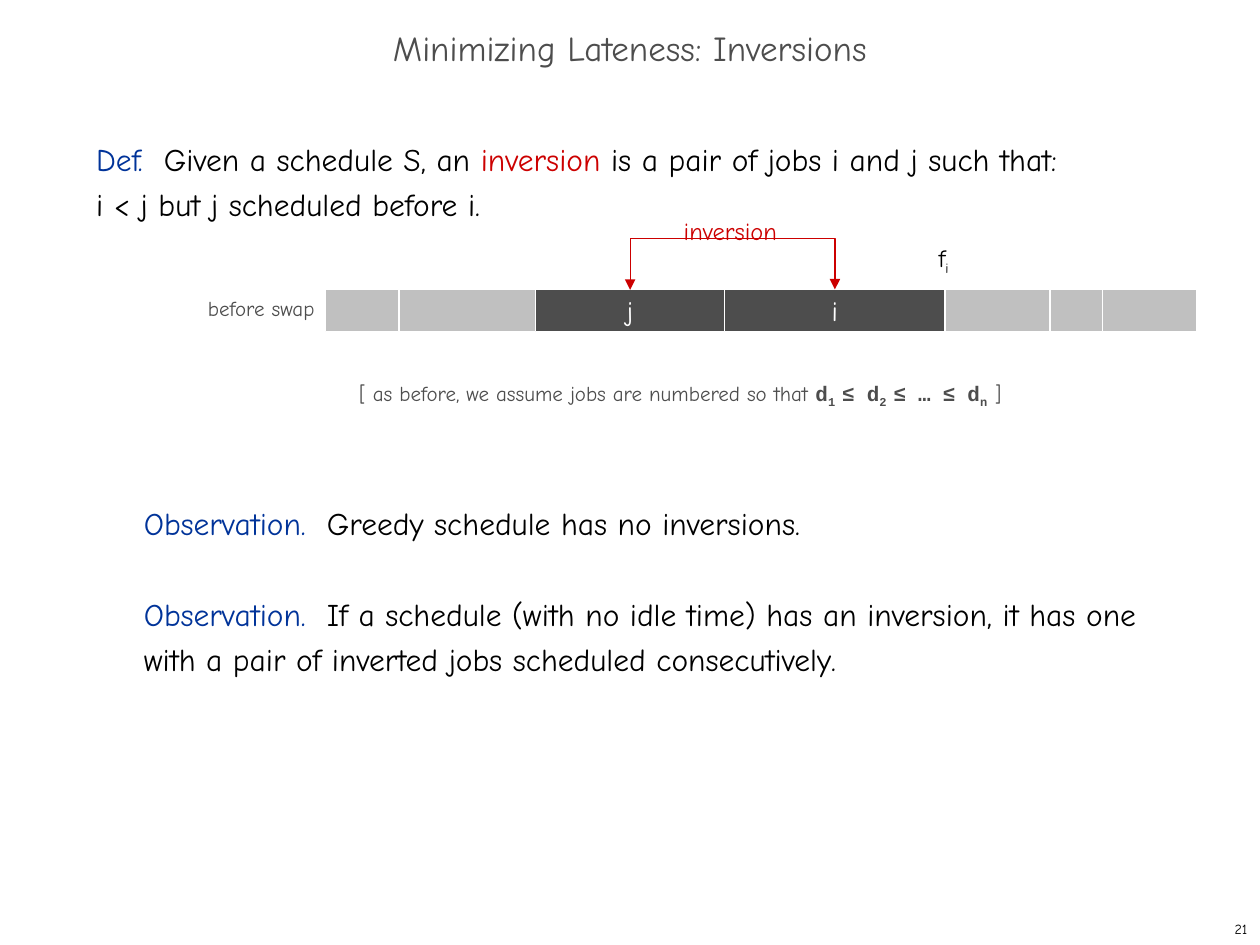
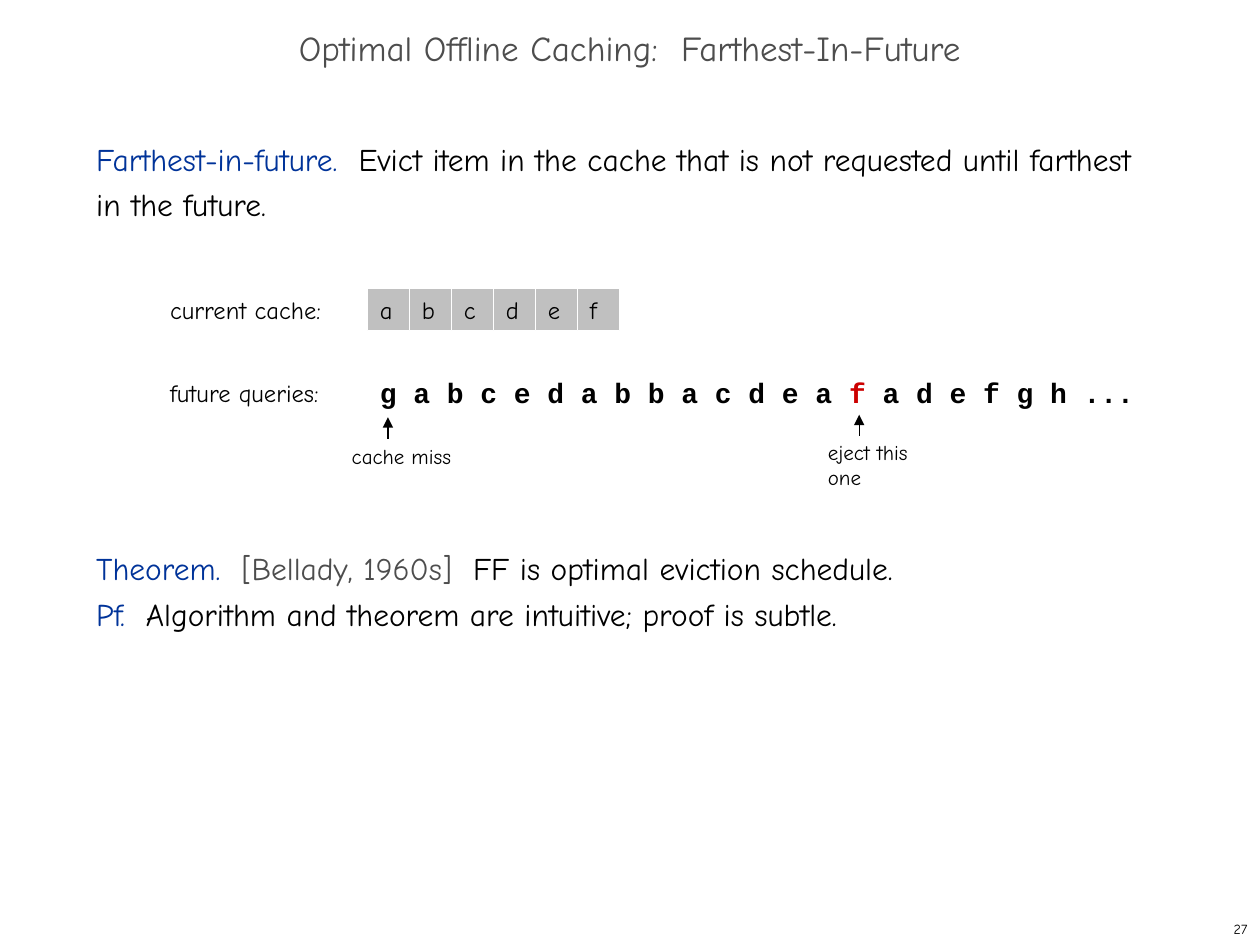
"""Build two lecture slides: schedule inversions and farthest-in-future caching."""
import pptx
import pptx.dml.color
import pptx.enum.shapes
import pptx.enum.text
import pptx.util
from lxml import etree
from pptx.oxml.ns import qn

Cm = pptx.util.Cm
Pt = pptx.util.Pt
paint = pptx.dml.color.RGBColor.from_string
ALIGN = pptx.enum.text.PP_ALIGN
ANCHOR = pptx.enum.text.MSO_ANCHOR
LINK = pptx.enum.shapes.MSO_CONNECTOR
RECT = pptx.enum.shapes.MSO_SHAPE.RECTANGLE

INK, GRAY, PALE, WHITE = "000000", "4D4D4D", "C0C0C0", "FFFFFF"
BLUE, RED = "003399", "CC0000"
FONT, CODE = "Comic Neue", "Courier New"


def label(slide, place, lines, size, align=ALIGN.LEFT, wrap=False, mid=False,
          rect=False, fill=None, inset=True, grow=False, pitch=None, gap=0):
    """Add a text box or rectangle; a span is text, colour, font, bold, base."""
    spot = [Cm(n) for n in place]
    if rect:
        box = slide.shapes.add_shape(RECT, *spot)
        box.shadow.inherit = False
        box.line.color.rgb = paint(WHITE)
        box.line.width = Pt(0.75)
        if fill:
            box.fill.solid()
            box.fill.fore_color.rgb = paint(fill)
        else:
            box.fill.background()
    else:
        box = slide.shapes.add_textbox(*spot)
    frame = box.text_frame
    frame.word_wrap = wrap
    frame.vertical_anchor = ANCHOR.MIDDLE if mid else ANCHOR.TOP
    if grow:
        frame.auto_size = pptx.enum.text.MSO_AUTO_SIZE.SHAPE_TO_FIT_TEXT
    if not inset:
        frame.margin_left = frame.margin_right = 0
        frame.margin_top = frame.margin_bottom = 0
    for row, spans in enumerate(lines):
        para = frame.add_paragraph() if row else frame.paragraphs[0]
        para.alignment = align
        if pitch:
            para.line_spacing = pitch
        if row and gap:
            para.space_before = Pt(gap)
        for text, hue, *style in spans:
            if text == "\n":
                para.add_line_break()
                continue
            face, bold, base = style or (FONT, False, 0)
            run = para.add_run()
            run.text = text
            run.font.size = Pt(size)
            run.font.name = face
            run.font.bold = bold
            run.font.color.rgb = paint(hue)
            if base:
                run.font._element.set("baseline", str(base))
    return box


def trim(link, hue, ends):
    """Style a connector and give it triangle heads at the named ends."""
    link.line.color.rgb = paint(hue)
    link.line.width = Pt(0.75)
    edge = link.line._get_or_add_ln()
    for end in ends:
        etree.SubElement(edge, qn("a:" + end), type="triangle")
    etree.SubElement(link._element.spPr, qn("a:effectLst"))


deck = pptx.Presentation()
deck.slide_width, deck.slide_height = Cm(25.4), Cm(19.05)
heads = [("Minimizing Lateness: Inversions", "21"),
         ("Optimal Offline Caching:  Farthest-In-Future", "27")]
pages = []
for title, count in heads:
    page = deck.slides.add_slide(deck.slide_layouts[6])
    label(page, (0, 0.42, 25.4, 1.27), [[(title, GRAY)]], 20,
          align=ALIGN.CENTER, wrap=True, mid=True, pitch=0.7)
    label(page, (20.11, 18.42, 5.29, 0.63), [[(count, INK)]], 8,
          align=ALIGN.RIGHT, wrap=True, mid=True)
    pages.append(page)
swap, cache = pages

left, top, wide = 1.69, 2.54, 21.8
step = Pt(26)
body = {"size": 18, "wrap": True, "pitch": step}

label(swap, (left, top, wide, 2.1), [[
    ("Def.  ", BLUE), ("Given a schedule S, an ", INK), ("inversion", RED),
    (" is a pair of jobs i and j such that:", INK), ("\n", INK),
    ("i < j but j scheduled before i.", INK)]], **body)
label(swap, (left + 0.96, top + 8 * step.cm, wide - 0.96, 4), [
    [("Observation.  ", BLUE), ("Greedy schedule has no inversions.", INK)],
    [("Observation.  ", BLUE),
     ("If a schedule (with no idle time) has an inversion, it has one with a "
      "pair of inverted jobs scheduled consecutively.", INK)]], gap=26, **body)

unit = 2.54 / 12
x, bar, tall = 31 * unit, 5.84, 0.85
jobs = {}
for span, name in [(7, ""), (13, ""), (18, "j"), (21, "i"),
                   (10, ""), (5, ""), (9, "")]:
    spans = [(name, WHITE)] if name else []
    jobs[name] = label(swap, (x, bar, span * unit, tall), [spans], 16,
                       align=ALIGN.CENTER, mid=True, rect=True,
                       fill=GRAY if name else PALE)
    x += span * unit

label(swap, (3.94, bar, 2.69, 0.76), [[("before swap", GRAY)]], 12, grow=True)
label(swap, (18.67, 4.78, 0.71, 0.94),
      [[("f", INK), ("i", INK, FONT, False, -25000)]], 14, grow=True)
label(swap, (12.5, 4.24, 4.45, 0.84), [[("inversion", RED)]], 14,
      align=ALIGN.CENTER, wrap=True, grow=True)

rise, thin, reach = 1.02, 0.01, 19.5 * unit
hook = swap.shapes.add_connector(LINK.ELBOW, 0, 0, 0, 0)
hook.begin_connect(jobs["j"], 0)
hook.end_connect(jobs["i"], 0)
hook.left, hook.top = Cm(60 * unit + reach / 2), Cm(bar - reach / 2)
hook.width, hook.height = Cm(thin), Cm(reach)
form = hook._element.spPr
turn = form.find(qn("a:xfrm"))
turn.set("rot", "16200000")
turn.set("flipH", "1")
bend = form.find(qn("a:prstGeom")).find(qn("a:avLst"))
etree.SubElement(bend, qn("a:gd"), name="adj1",
                 fmla=f"val {round(-rise / thin * 100000)}")
trim(hook, RED, ["headEnd", "tailEnd"])

note = [("[ as before, we assume jobs are numbered so that ", GRAY)]
for term, low, sign in [("d", "1 ", "≤"), (" d", "2 ", "≤"),
                        (" … ", "", "≤"), (" d", "n ", "")]:
    note.append((term, GRAY, CODE, True, 0))
    if low:
        note.append((low, GRAY, CODE, True, -25000))
    if sign:
        note.append((sign, GRAY, "Arial", True, 0))
note.append(("]", GRAY))
label(swap, (6.99, 7.54, 14.02, 0.84), [note], 12, grow=True)

label(cache, (left, top, wide, 2.1), [[
    ("Farthest-in-future.  ", BLUE),
    ("Evict item in the cache that is not requested until farthest in the "
     "future.", INK)]], **body)
label(cache, (left, top + 9 * step.cm, wide, 2.1), [
    [("Theorem.  ", BLUE), ("[Bellady, 1960s]  ", GRAY),
     ("FF is optimal eviction schedule.", INK)],
    [("Pf.  ", BLUE),
     ("Algorithm and theorem are intuitive; proof is subtle.", INK)]], **body)

start, upper, lower = 35 * unit, 5.82, 7.49
cell = {"mid": True, "rect": True}
for text, y in [("current cache:", upper), ("future queries:", lower)]:
    label(cache, (3.18, y, 3.6, tall), [[(text, INK)]], 14, **cell)
for slot, item in enumerate("abcdef"):
    label(cache, (start + slot * 4 * unit, upper, 4 * unit, tall),
          [[(item, INK)]], 14, fill=PALE, **cell)
label(cache, (start, lower, 79 * unit, tall), [[
    ("g a b c e d a b b a c d e a ", INK, CODE, True, 0),
    ("f", RED, CODE, True, 0),
    (" a d e f g h ...", INK, CODE, True, 0)]], 16, **cell)

for text, x, y, width, tip, peak in [
        ("cache miss", 7.09, 8.94, 2.01, 7.82, 8.41),
        ("eject this one", 16.69, 8.86, 2.41, 17.32, 8.36)]:
    label(cache, (x, y, width, 0.51), [[(text, INK)]], 12,
          inset=False, grow=True)
    arrow = cache.shapes.add_connector(
        LINK.STRAIGHT, Cm(tip), Cm(peak + 0.43), Cm(tip), Cm(peak))
    trim(arrow, INK, ["tailEnd"])

deck.save("out.pptx")
